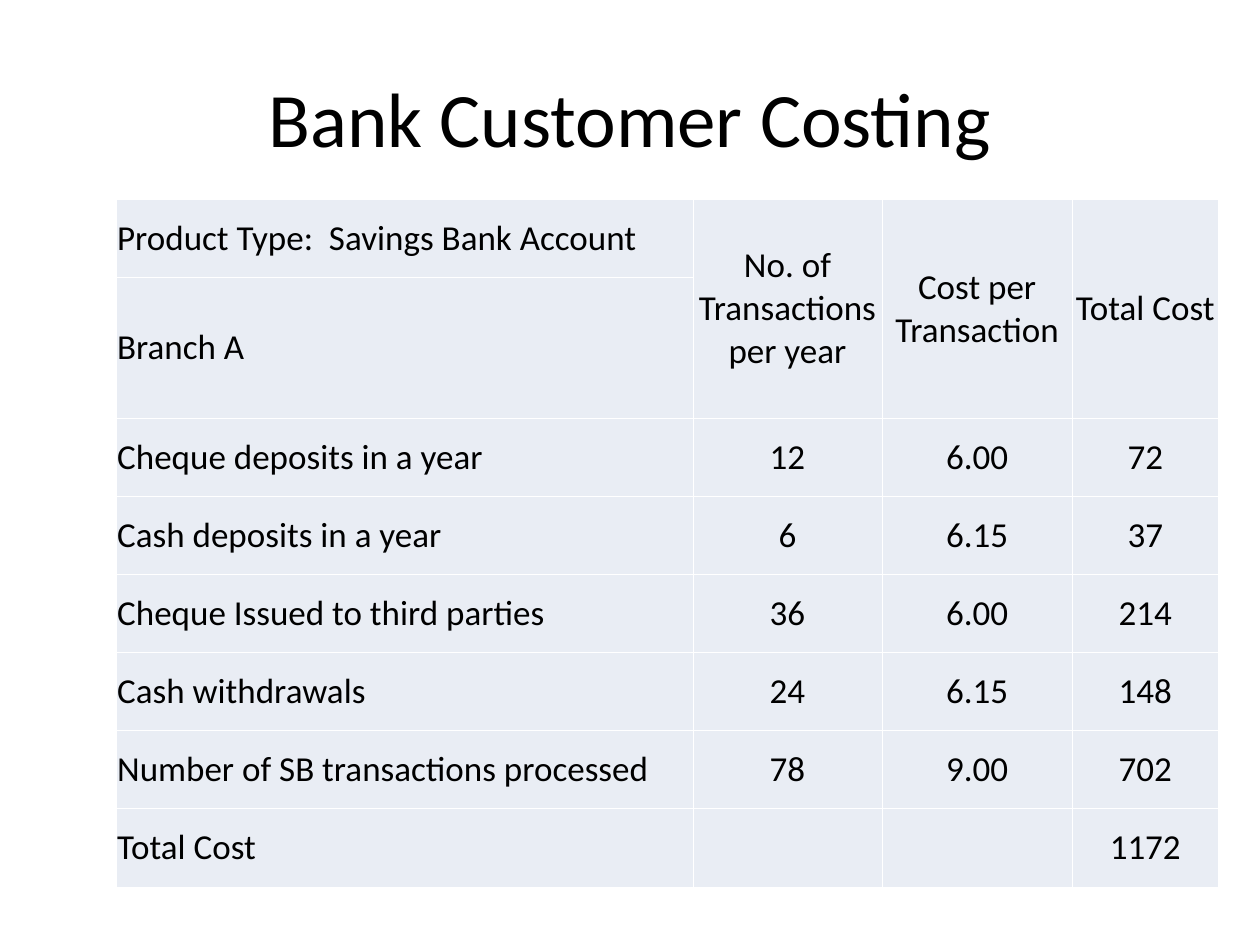
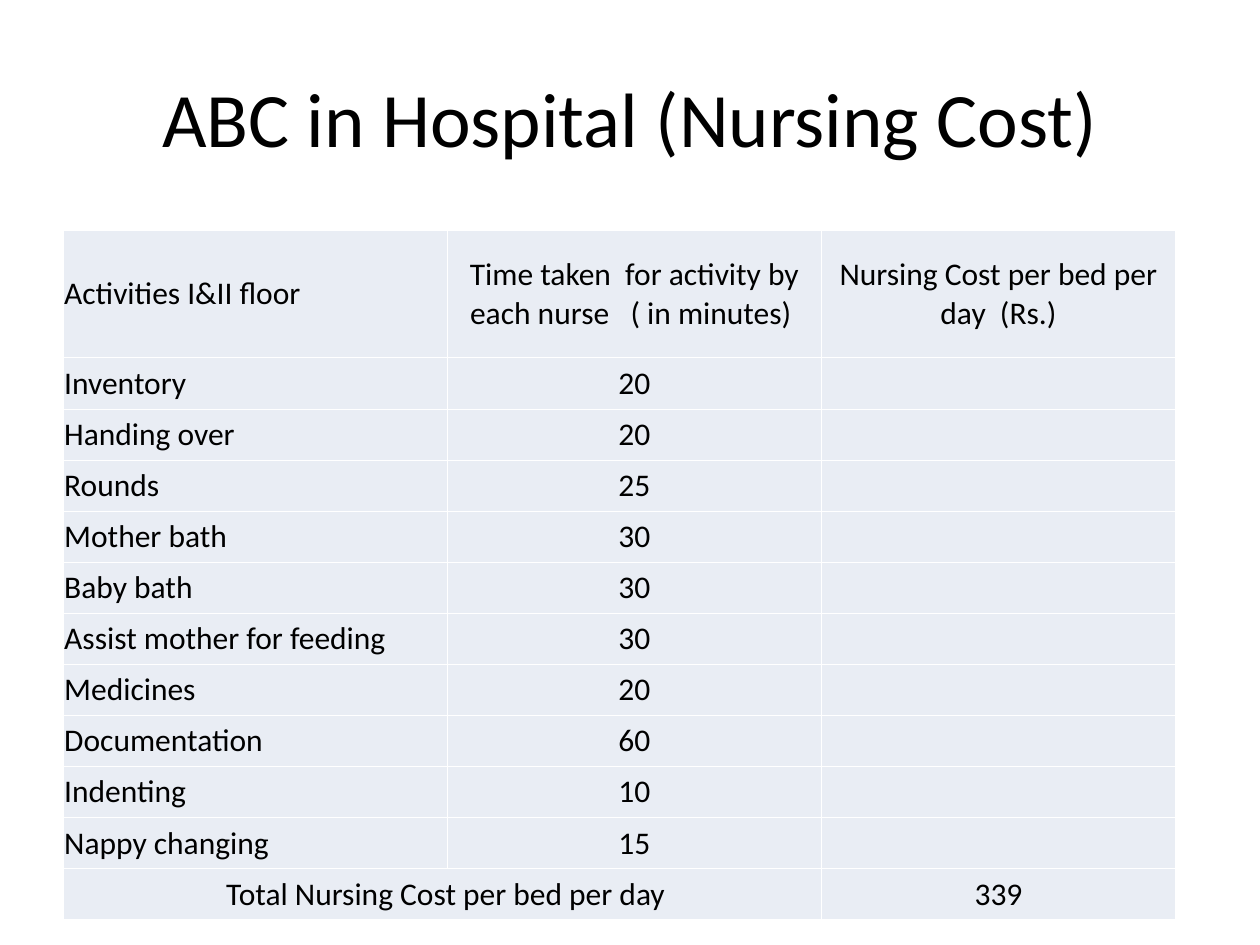
from dataclasses import dataclass

from lxml.etree import SubElement
from pptx import Presentation
from pptx.dml.color import RGBColor
from pptx.enum.text import MSO_ANCHOR, PP_ALIGN
from pptx.oxml.ns import qn
from pptx.util import Inches, Pt


@dataclass(frozen=True)
class Theme:
    font: str = "Calibri"
    text: str = "000000"
    cell_fill: str = "E9EDF4"
    grid: str = "FFFFFF"
    grid_width: float = 0.45
    title_size: int = 44


theme = Theme()


def write_text(frame, text, size, alignment):
    para = frame.paragraphs[0]
    para.alignment = alignment
    span = para.add_run()
    span.text = text
    span.font.name = theme.font
    span.font.size = Pt(size)
    span.font.color.rgb = RGBColor.from_string(theme.text)


def style_cell(cell):
    properties = cell._tc.get_or_add_tcPr()
    for side in ("a:lnL", "a:lnR", "a:lnT", "a:lnB"):
        line = SubElement(properties, qn(side), w=str(Pt(theme.grid_width)))
        paint = SubElement(line, qn("a:solidFill"))
        SubElement(paint, qn("a:srgbClr"), val=theme.grid)
    cell.fill.solid()
    cell.fill.fore_color.rgb = RGBColor.from_string(theme.cell_fill)
    cell.vertical_anchor = MSO_ANCHOR.MIDDLE
    cell.margin_left = cell.margin_right = Inches(0.01)
    cell.margin_top = cell.margin_bottom = Inches(0.05)


bank_rows = [
    ("Product Type:  Savings Bank Account", "No. of Transactions per year",
     "Cost per Transaction", "Total Cost"),
    ("Branch A", "", "", ""),
    ("Cheque deposits in a year", "12", "6.00", "72"),
    ("Cash deposits in a year", "6", "6.15", "37"),
    ("Cheque Issued to third parties", "36", "6.00", "214"),
    ("Cash withdrawals", "24", "6.15", "148"),
    ("Number of SB transactions processed", "78", "9.00", "702"),
    ("Total Cost", "", "", "1172"),
]
nursing_minutes = [
    ("Inventory", 20),
    ("Handing over", 20),
    ("Rounds", 25),
    ("Mother bath", 30),
    ("Baby bath", 30),
    ("Assist mother for feeding", 30),
    ("Medicines", 20),
    ("Documentation", 60),
    ("Indenting", 10),
    ("Nappy changing", 15),
]
nursing_rows = [
    ("Activities I&II floor",
     "Time taken  for activity by each nurse   ( in minutes) ",
     "Nursing Cost per bed per day  (Rs.)"),
    *((activity, str(minutes), "") for activity, minutes in nursing_minutes),
    (" Total Nursing Cost per bed per day", "", "339"),
]

pages = [
    dict(title="Bank Customer Costing", rows=bank_rows, left=0.92, top=1.58,
         widths=[4.58, 1.5, 1.51, 1.16], heights=[0.62, 1.07] + [0.62] * 6,
         size=20, label_alignment=PP_ALIGN.JUSTIFY,
         merges=[((0, column), (1, column)) for column in (1, 2, 3)]),
    dict(title="ABC in Hospital (Nursing Cost)", rows=nursing_rows, left=0.5, top=1.83,
         widths=[3.05, 2.97, 2.81], heights=[1.01] + [0.35] * 11,
         size=18, label_alignment=PP_ALIGN.LEFT,
         merges=[((11, 0), (11, 1))]),
]

deck = Presentation()
deck.slide_width = Inches(10)
deck.slide_height = Inches(7.5)

for content in pages:
    page = deck.slides.add_slide(deck.slide_layouts[5])
    title = page.shapes.title
    title.left, title.top = Inches(0.5), Inches(0.3)
    title.width, title.height = Inches(9), Inches(1.25)
    title.text_frame.vertical_anchor = MSO_ANCHOR.MIDDLE
    write_text(title.text_frame, content["title"], theme.title_size, PP_ALIGN.CENTER)

    rows, widths, heights = content["rows"], content["widths"], content["heights"]
    table = page.shapes.add_table(
        len(rows), len(widths), Inches(content["left"]), Inches(content["top"]),
        Inches(sum(widths)), Inches(sum(heights))).table
    table.first_row = table.horz_banding = False
    for column, width in zip(table.columns, widths):
        column.width = Inches(width)
    for row, height in zip(table.rows, heights):
        row.height = Inches(height)
    for first, last in content["merges"]:
        table.cell(*first).merge(table.cell(*last))

    for row_index, texts in enumerate(rows):
        for column_index, text in enumerate(texts):
            cell = table.cell(row_index, column_index)
            style_cell(cell)
            if text:
                is_label = column_index == 0 and cell.span_width == 1
                alignment = content["label_alignment"] if is_label else PP_ALIGN.CENTER
                write_text(cell.text_frame, text, content["size"], alignment)

deck.save("out.pptx")
